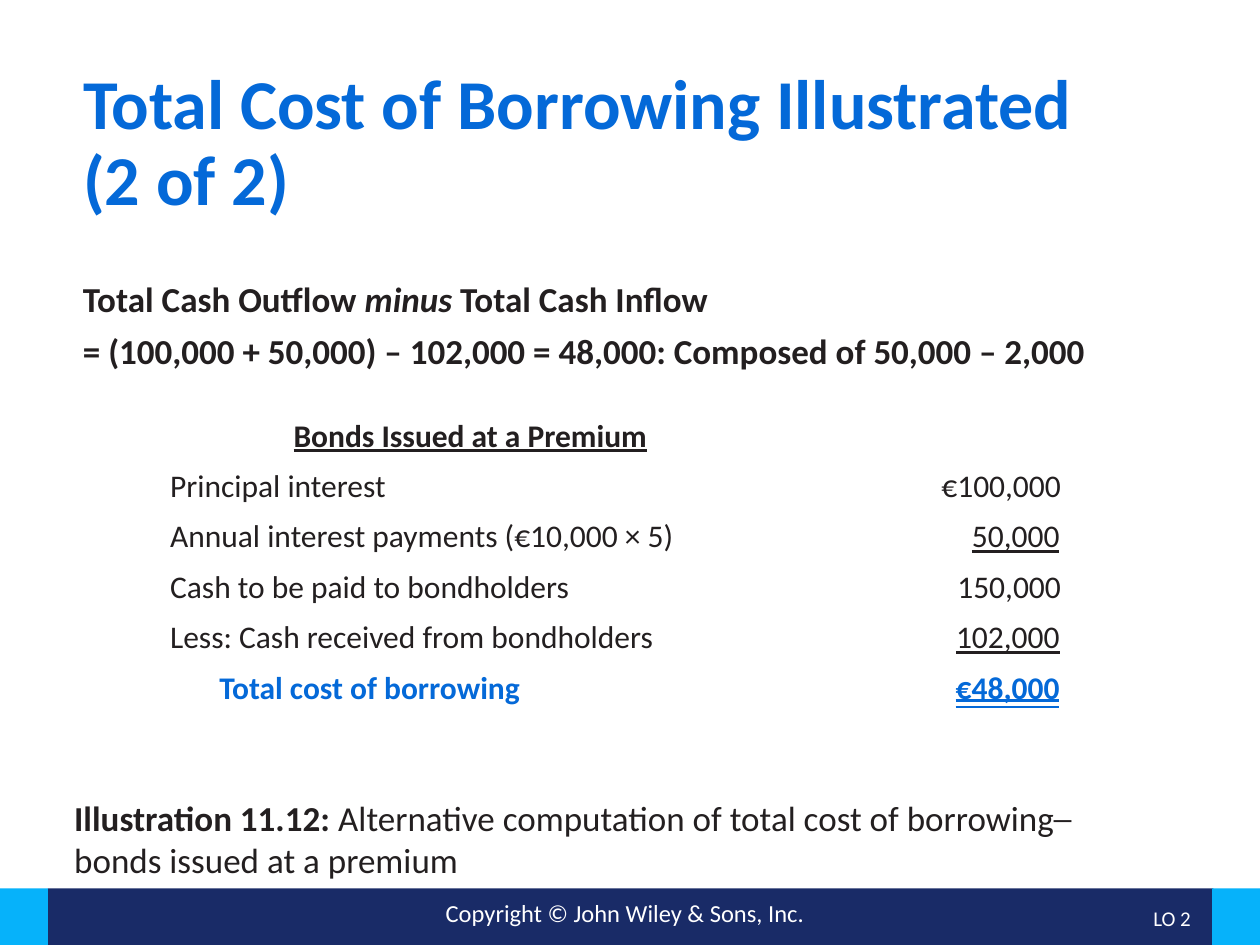
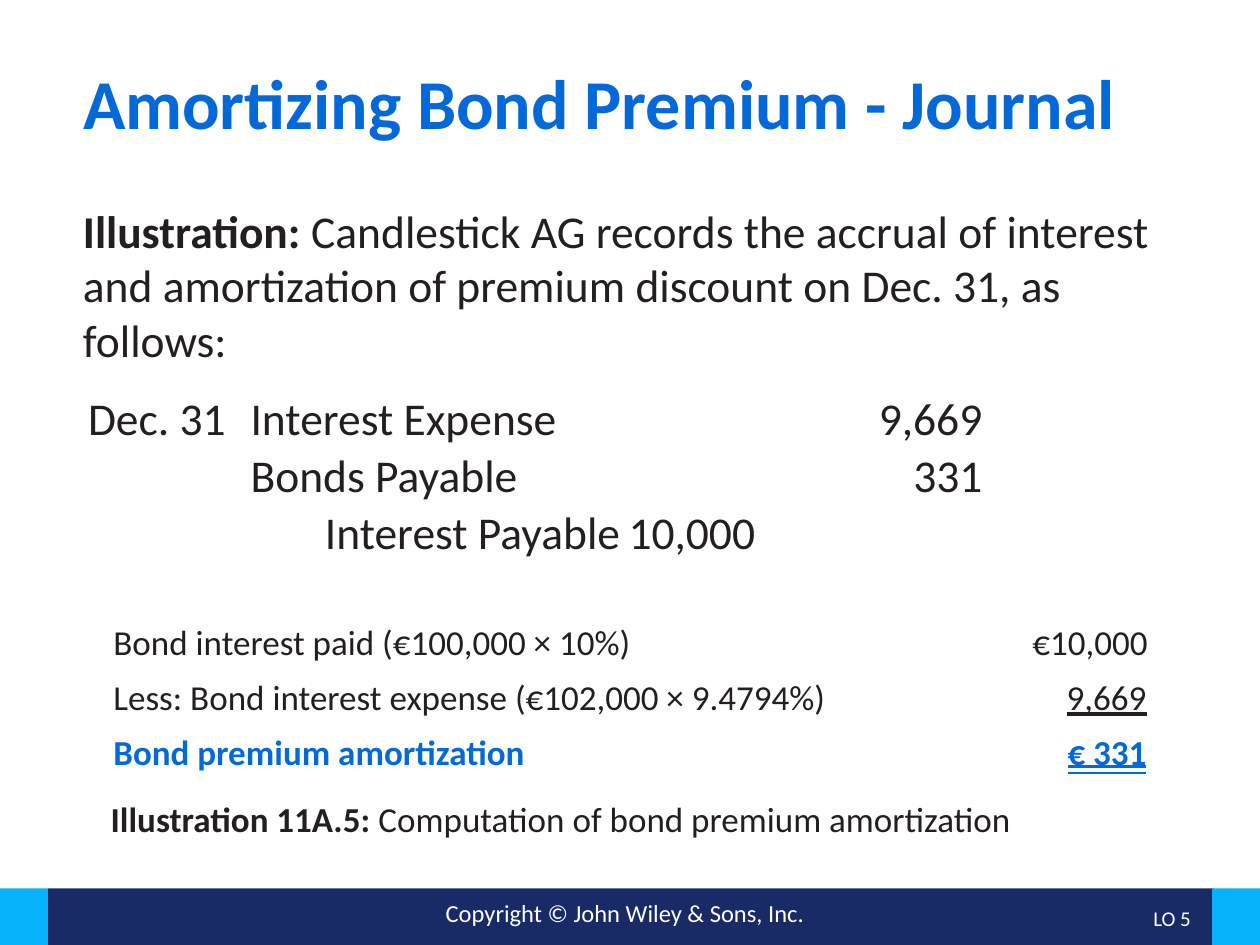
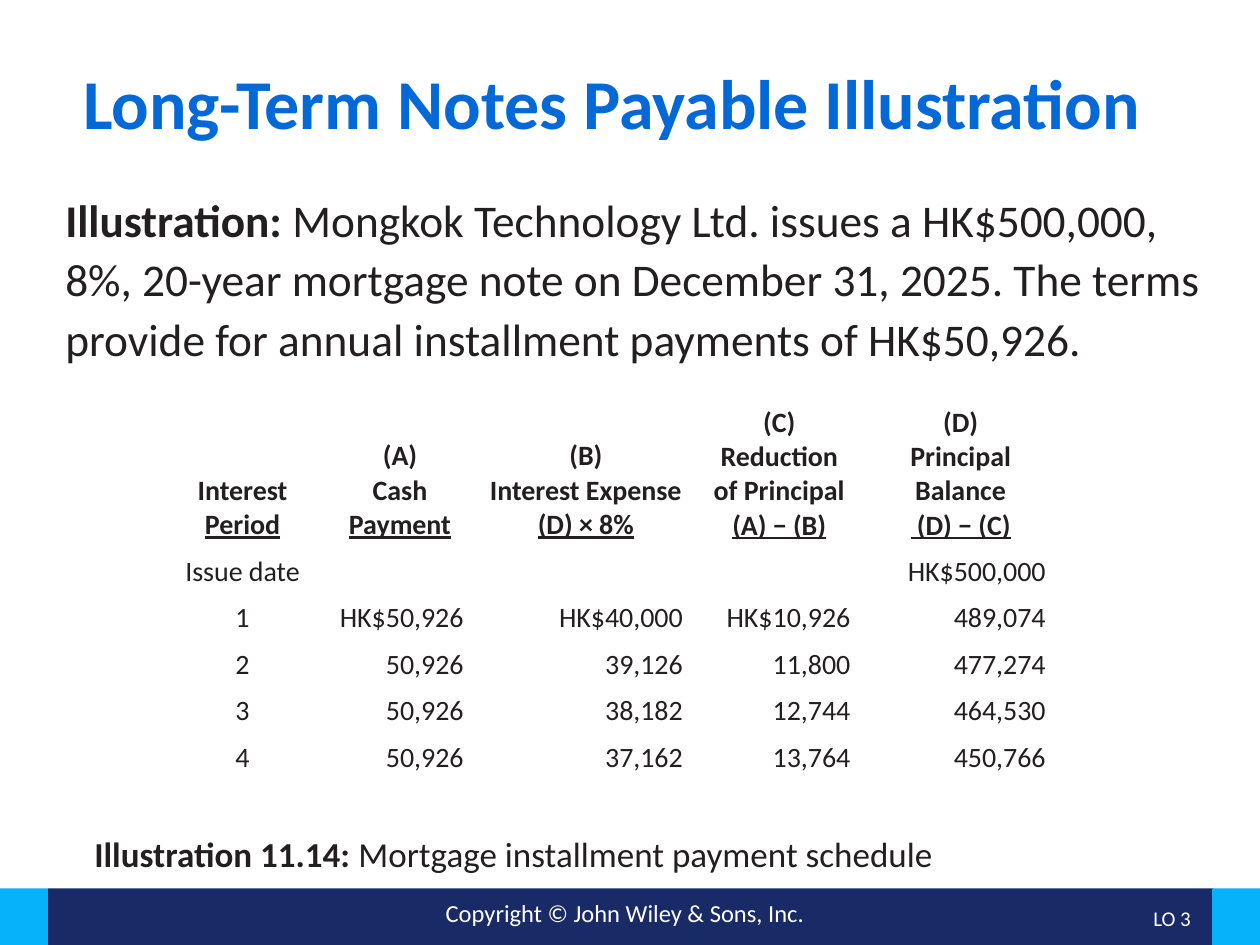
"""Build three slides on bond premiums and long-term notes payable."""
import lxml.etree
import pptx
import pptx.dml.color
import pptx.enum.shapes
import pptx.enum.text
import pptx.oxml.ns
import pptx.util

Inches = pptx.util.Inches
Pt = pptx.util.Pt
qn = pptx.oxml.ns.qn
Align = pptx.enum.text.PP_ALIGN
Anchor = pptx.enum.text.MSO_ANCHOR
Underline = pptx.enum.text.MSO_UNDERLINE

FONT = "Calibri"
BLUE, INK, WHITE, NAVY, SKY = "0469D8", "231F20", "FFFFFF", "192B67", "06B2FA"


def write(paragraph, runs, size, color=INK, align=Align.LEFT, indent=0, tab=0):
    """Fill a paragraph; style letters: b bold, i italic, u underline, d double underline, a accent."""
    paragraph.alignment = align
    properties = paragraph._p.get_or_add_pPr()
    if indent:
        properties.set("marL", "0")
        properties.set("indent", str(Inches(indent)))
    if tab:
        stops = lxml.etree.SubElement(properties, qn("a:tabLst"))
        lxml.etree.SubElement(stops, qn("a:tab"), pos=str(Inches(tab)), algn="r")
    for text, style in runs:
        run = paragraph.add_run()
        run.text = text
        run.font.name = FONT
        run.font.size = Pt(size)
        run.font.bold = "b" in style
        run.font.italic = "i" in style
        run.font.underline = Underline.DOUBLE_LINE if "d" in style else "u" in style
        run.font.color.rgb = pptx.dml.color.RGBColor.from_string(BLUE if "a" in style else color)
    if not runs:
        lxml.etree.SubElement(paragraph._p, qn("a:endParaRPr"), sz=str(size * 100))


def add_text(slide, place, lines, size, spacing=1.0, before=0, anchor=Anchor.TOP, **formats):
    """Add a wrapping text box with one paragraph per line and return its paragraphs."""
    frame = slide.shapes.add_textbox(*map(Inches, place)).text_frame
    frame.word_wrap = True
    frame.vertical_anchor = anchor
    for number, runs in enumerate(lines):
        paragraph = frame.add_paragraph() if number else frame.paragraphs[0]
        write(paragraph, runs, size, **formats)
        paragraph.line_spacing = spacing
        paragraph.space_before = Pt(before if number else 0)


prs = pptx.Presentation()
prs.slide_width, prs.slide_height = Inches(10), Inches(7.5)

slides = []
for heading, title_width, objective in [
    ("Total Cost of Borrowing Illustrated (2 of 2)", 8.59, "LO 2"),
    ("Amortizing Bond Premium - Journal", 8.88, "LO 5"),
    ("Long-Term Notes Payable Illustration", 8.88, "LO 3"),
]:
    slide = prs.slides.add_slide(prs.slide_layouts[5])
    slides.append(slide)
    for left, width, color in [(0.38, 9.25, NAVY), (0, 0.38, SKY), (9.62, 0.38, SKY)]:
        band = slide.shapes.add_shape(
            pptx.enum.shapes.MSO_SHAPE.RECTANGLE, Inches(left), Inches(7.05), Inches(width), Inches(0.5))
        band.shadow.inherit = False
        band.fill.solid()
        band.fill.fore_color.rgb = pptx.dml.color.RGBColor.from_string(color)
        band.line.fill.background()
    add_text(slide, (2.5, 7.08, 4.92, 0.34), [[("Copyright © John Wiley & Sons, Inc.", "")]], 14,
             color=WHITE, align=Align.CENTER)
    add_text(slide, (8.73, 7.1, 0.82, 0.4), [[(objective, "")]], 12, 0.9, anchor=Anchor.MIDDLE,
             color=WHITE, align=Align.RIGHT)

    title = slide.shapes.title
    title.left, title.top = Inches(0.56), Inches(0.5)
    title.width, title.height = Inches(title_width), Inches(0.93)
    title.text_frame.auto_size = pptx.enum.text.MSO_AUTO_SIZE.NONE
    title.text_frame.vertical_anchor = Anchor.TOP
    write(title.text_frame.paragraphs[0], [(heading, "ba")], 40)
    title.text_frame.paragraphs[0].line_spacing = 0.9

borrowing, journal, notes = slides

add_text(borrowing, (0.56, 2.15, 8.88, 0.93), [
    [("Total Cash Outflow ", "b"), ("minus", "bi"), (" Total Cash Inflow", "b")],
    [("= (100,000 + 50,000) – 102,000 = 48,000: Composed of 50,000 – 2,000", "b")],
], 20, before=6.2)
add_text(borrowing, (0.49, 6.27, 8.79, 0.81), [[
    ("Illustration 11.12: ", "b"),
    ("Alternative computation of total cost of borrowing─ bonds issued at a premium", ""),
]], 20)

add_text(journal, (0.56, 1.56, 8.88, 1.44), [[
    ("Illustration: ", "b"),
    ("Candlestick AG records the accrual of interest and amortization of premium discount "
     "on Dec. 31, as follows:", ""),
]], 26)
add_text(journal, (0.6, 3.05, 1.49, 0.61), [[("Dec. 31", "")]], 26)
entries = journal.shapes.add_textbox(Inches(1.89), Inches(3.13), Inches(7.61), Inches(1.44)).text_frame
entries.word_wrap = True
for number, (entry, indent, amount_edge) in enumerate([
    ("Interest Expense\t9,669", 0, 5.81),
    ("Bonds Payable\t331", 0, 5.81),
    ("Interest Payable\t10,000", 0.59, 7.25),
]):
    line = entries.add_paragraph() if number else entries.paragraphs[0]
    write(line, [(entry, "")], 26, indent=indent, tab=amount_edge)
    line.line_spacing = 0.8
    line.space_before = Pt(7.5 if number else 0)
add_text(journal, (0.78, 6.32, 7.58, 0.49), [[
    ("Illustration 11A.5: ", "b"), ("Computation of bond premium amortization", ""),
]], 20, 0.9)

add_text(notes, (0.42, 1.43, 9.34, 1.63), [[
    ("Illustration: ", "b"),
    ("Mongkok Technology Ltd. issues a HK$500,000, 8%, 20-year mortgage note on December 31, 2025. "
     "The terms provide for annual installment payments of HK$50,926.", ""),
]], 25.9, 1.1)
add_text(notes, (0.65, 6.56, 8.79, 0.47), [[
    ("Illustration 11.14: ", "b"), ("Mortgage installment payment schedule", ""),
]], 20)

cost_rows = [
    [[[("Bonds Issued at a Premium", "bu")]], [[]]],
    [[[("Principal interest", "")]], [[("€100,000", "")]]],
    [[[("Annual interest payments (€10,000 × 5)", "")]], [[("\t50,000", "u")]]],
    [[[("Cash to be paid to bondholders", "")]], [[("150,000", "")]]],
    [[[("Less: Cash received from bondholders", "")]], [[("\t102,000", "u")]]],
    [[[("Total cost of borrowing", "ba")]], [[("\t€48,000", "bda")]]],
]
amortization_rows = [
    [[[("Bond interest paid (€100,000 × 10%)", "")]], [[("€10,000", "")]]],
    [[[("Less: Bond interest expense (€102,000 × 9.4794%)", "")]], [[("\t9,669", "u")]]],
    [[[("Bond premium amortization", "ba")]], [[("\t€ 331", "bda")]]],
]
schedule_rows = [[
    [[("Interest ", "b"), ("Period", "bu")]],
    [[("(A)", "b")], [("Cash ", "b"), ("Payment", "bu")]],
    [[("(B)", "b")], [("Interest Expense ", "b"), ("(D) × 8%", "bu")]],
    [[("(C)", "b")], [("Reduction of Principal ", "b"), ("(A) − (B)", "bu")]],
    [[("(D)", "b")], [("Principal Balance", "b")], [(" (D) − (C)", "bu")]],
]]
for values in [
    ("Issue date", "", "", "", "HK$500,000"),
    ("1", "HK$50,926", "HK$40,000", "HK$10,926", "489,074"),
    ("2", "50,926", "39,126", "11,800", "477,274"),
    ("3", "50,926", "38,182", "12,744", "464,530"),
    ("4", "50,926", "37,162", "13,764", "450,766"),
]:
    schedule_rows.append([[[(value, "")] if value else []] for value in values])

for slide, left, top, widths, heights, size, inset, rule_start, indents, rows in [
    (borrowing, 1.24, 3.26, [5.68, 1.61], [0.4] * 6, 18, 0.11, 0.28, {0: 0.98, 5: 0.39}, cost_rows),
    (journal, 0.8, 4.89, [7.04, 1.37], [0.43] * 3, 20, 0.1, 0.26, {}, amortization_rows),
    (notes, 1.28, 3.17, [1.29, 1.21, 1.74, 1.33, 1.55], [1.18] + [0.37] * 5, 16, 0.1, 0, {}, schedule_rows),
]:
    table = slide.shapes.add_table(
        len(rows), len(widths), Inches(left), Inches(top), Inches(sum(widths)), Inches(sum(heights))).table
    table.first_row = table.horz_banding = False
    for column, width in zip(table.columns, widths):
        column.width = Inches(width)
    for row_number, (row, height) in enumerate(zip(rows, heights)):
        table.rows[row_number].height = Inches(height)
        for column_number, lines in enumerate(row):
            cell = table.cell(row_number, column_number)
            cell.fill.background()
            cell.margin_left = cell.margin_right = Inches(inset)
            schedule_head = slide is notes and row_number == 0
            cell.vertical_anchor = Anchor.BOTTOM if schedule_head else Anchor.MIDDLE
            align = Align.RIGHT if column_number else Align.LEFT
            if schedule_head or (slide is notes and column_number == 0):
                align = Align.CENTER
            tab = 0
            if lines[0] and lines[0][0][0].startswith("\t"):
                cell.margin_left = Inches(rule_start)
                align = Align.LEFT
                tab = round(widths[column_number] - rule_start - inset - 0.01, 2)
            indent = 0 if column_number else indents.get(row_number, 0)
            for number, runs in enumerate(lines):
                paragraph = cell.text_frame.add_paragraph() if number else cell.text_frame.paragraphs[0]
                write(paragraph, runs, size, align=align, indent=indent, tab=tab)

prs.save("out.pptx")
